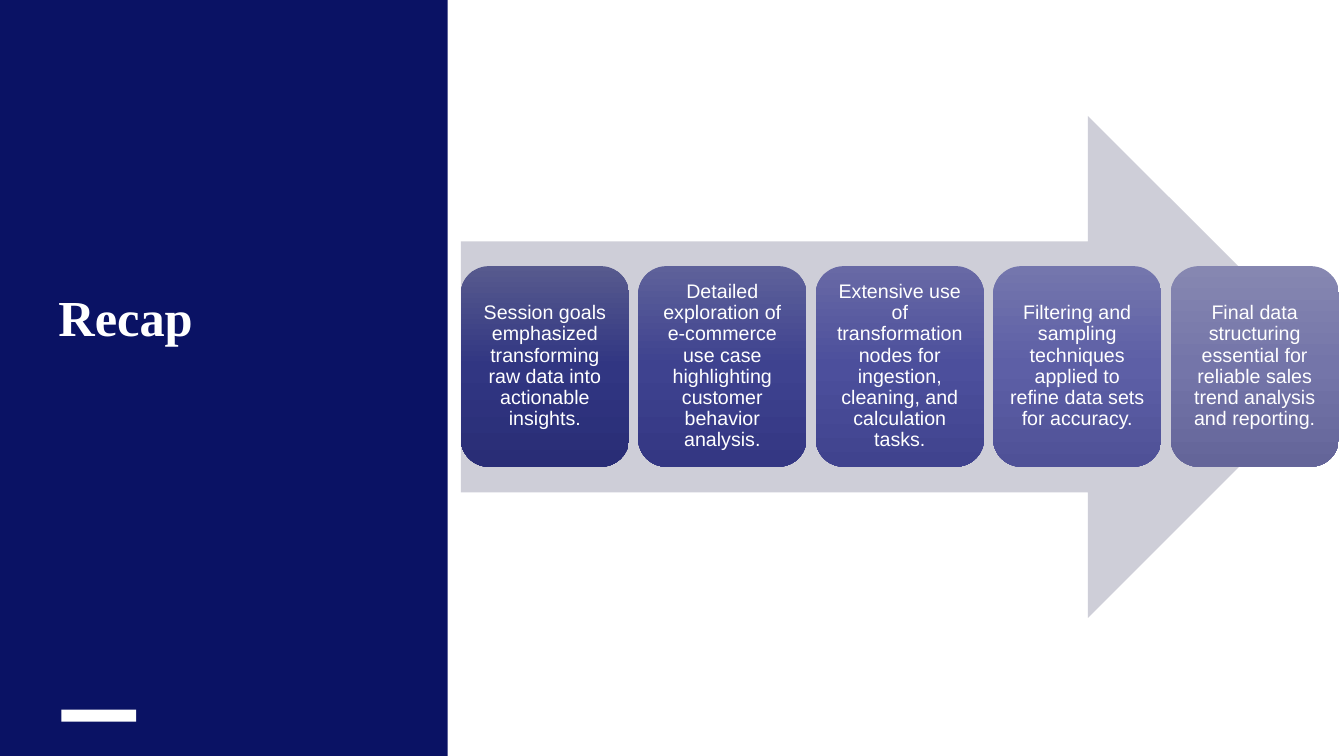
import copy

import pptx
import pptx.dml.color
import pptx.enum.shapes
import pptx.enum.text
import pptx.oxml.ns
import pptx.util

Inches = pptx.util.Inches
Pt = pptx.util.Pt
RGBColor = pptx.dml.color.RGBColor
Shape = pptx.enum.shapes.MSO_SHAPE
Align = pptx.enum.text.PP_ALIGN
Anchor = pptx.enum.text.MSO_ANCHOR

NAVY = RGBColor(0x0A, 0x12, 0x64)
WHITE = RGBColor(0xFF, 0xFF, 0xFF)
ARROW_GREY = RGBColor(0xCE, 0xCE, 0xD8)

CARDS = [
    ("Session goals emphasized transforming raw data into actionable insights.",
     [RGBColor(0x57, 0x5A, 0x8E), RGBColor(0x31, 0x36, 0x82), RGBColor(0x29, 0x2D, 0x76)]),
    ("Detailed exploration of e-commerce use case highlighting customer behavior analysis.",
     [RGBColor(0x5E, 0x61, 0x9A), RGBColor(0x3E, 0x42, 0x8F), RGBColor(0x34, 0x37, 0x83)]),
    ("Extensive use of transformation nodes for ingestion, cleaning, and calculation tasks.",
     [RGBColor(0x68, 0x69, 0xA5), RGBColor(0x4C, 0x4F, 0x9C), RGBColor(0x40, 0x43, 0x8E)]),
    ("Filtering and sampling techniques applied to refine data sets for accuracy.",
     [RGBColor(0x74, 0x76, 0xAD), RGBColor(0x5D, 0x5F, 0xA6), RGBColor(0x4F, 0x51, 0x97)]),
    ("Final data structuring essential for reliable sales trend analysis and reporting.",
     [RGBColor(0x86, 0x87, 0xB1), RGBColor(0x74, 0x75, 0xA9), RGBColor(0x64, 0x65, 0x99)]),
]
CARD_LEFT, CARD_STEP = 4.57, 1.76


def write_text(shape, text, *, font, size, spacing, align, anchor, inset_x, inset_y, bold=False):
    frame = shape.text_frame
    frame.word_wrap = True
    frame.auto_size = pptx.enum.text.MSO_AUTO_SIZE.NONE
    frame.vertical_anchor = anchor
    frame.margin_left = frame.margin_right = Inches(inset_x)
    frame.margin_top = frame.margin_bottom = Inches(inset_y)
    paragraph = frame.paragraphs[0]
    paragraph.alignment = align
    paragraph.line_spacing = spacing
    paragraph.space_before = Pt(0)
    run = paragraph.add_run()
    run.text = text
    run.font.name = font
    run.font.size = Pt(size)
    run.font.bold = bold
    run.font.color.rgb = WHITE


def add_plain_shape(slide, kind, left, top, width, height, color=None):
    shape = slide.shapes.add_shape(kind, Inches(left), Inches(top), Inches(width), Inches(height))
    shape.shadow.inherit = False
    shape.line.fill.background()
    if color is not None:
        shape.fill.solid()
        shape.fill.fore_color.rgb = color
    return shape


presentation = pptx.Presentation()
presentation.slide_width = Inches(13.33)
presentation.slide_height = Inches(7.5)
slide = presentation.slides.add_slide(presentation.slide_layouts[5])

title = slide.shapes.title
panel = add_plain_shape(slide, Shape.RECTANGLE, 0, 0, 4.44, 7.5, NAVY)
title._element.addprevious(panel._element)
add_plain_shape(slide, Shape.RECTANGLE, 0.61, 7.04, 0.74, 0.12, WHITE)

title.left, title.top = Inches(0.48), Inches(2.89)
title.width, title.height = Inches(3.61), Inches(1.56)
write_text(title, "Recap", font="Times New Roman", size=36, spacing=Pt(36), bold=True,
           align=Align.LEFT, anchor=Anchor.TOP, inset_x=0.1, inset_y=0.05)

add_plain_shape(slide, Shape.RIGHT_ARROW, CARD_LEFT, 1.15, 8.71, 4.98, ARROW_GREY)

for index, (text, colors) in enumerate(CARDS):
    card = add_plain_shape(slide, Shape.ROUNDED_RECTANGLE,
                           CARD_LEFT + index * CARD_STEP, 2.64, 1.67, 1.99)
    card.fill.gradient()
    card.fill.gradient_angle = 270
    stop_list = card._element.spPr.find(".//" + pptx.oxml.ns.qn("a:gsLst"))
    middle_stop = copy.deepcopy(stop_list[0])
    middle_stop.set("pos", "50000")
    stop_list.insert(1, middle_stop)
    for stop, color in zip(card.fill.gradient_stops, colors):
        stop.color.rgb = color
    write_text(card, text, font="Arial", size=14, spacing=0.9,
               align=Align.CENTER, anchor=Anchor.MIDDLE, inset_x=0.06, inset_y=0.06)

presentation.save("out.pptx")
